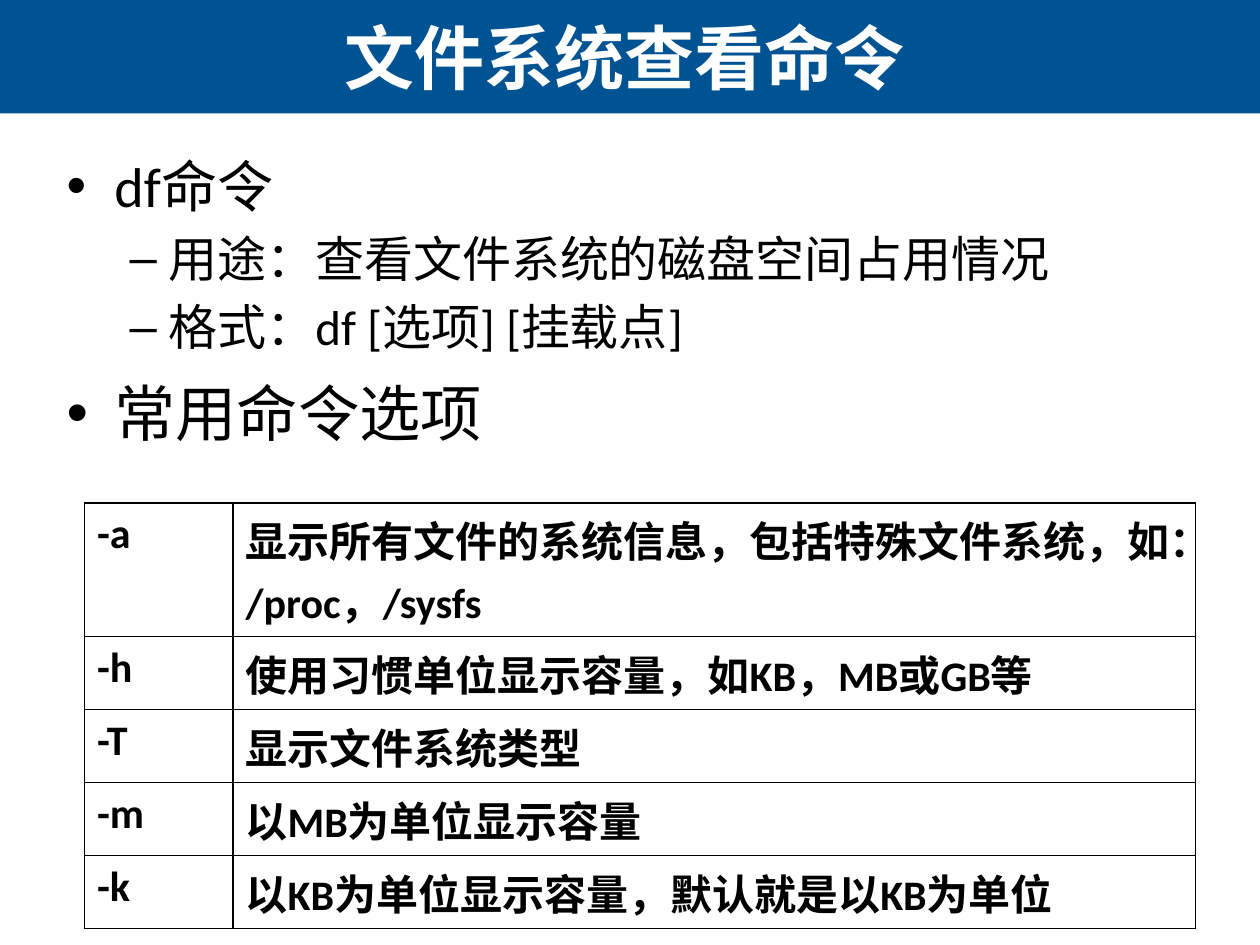
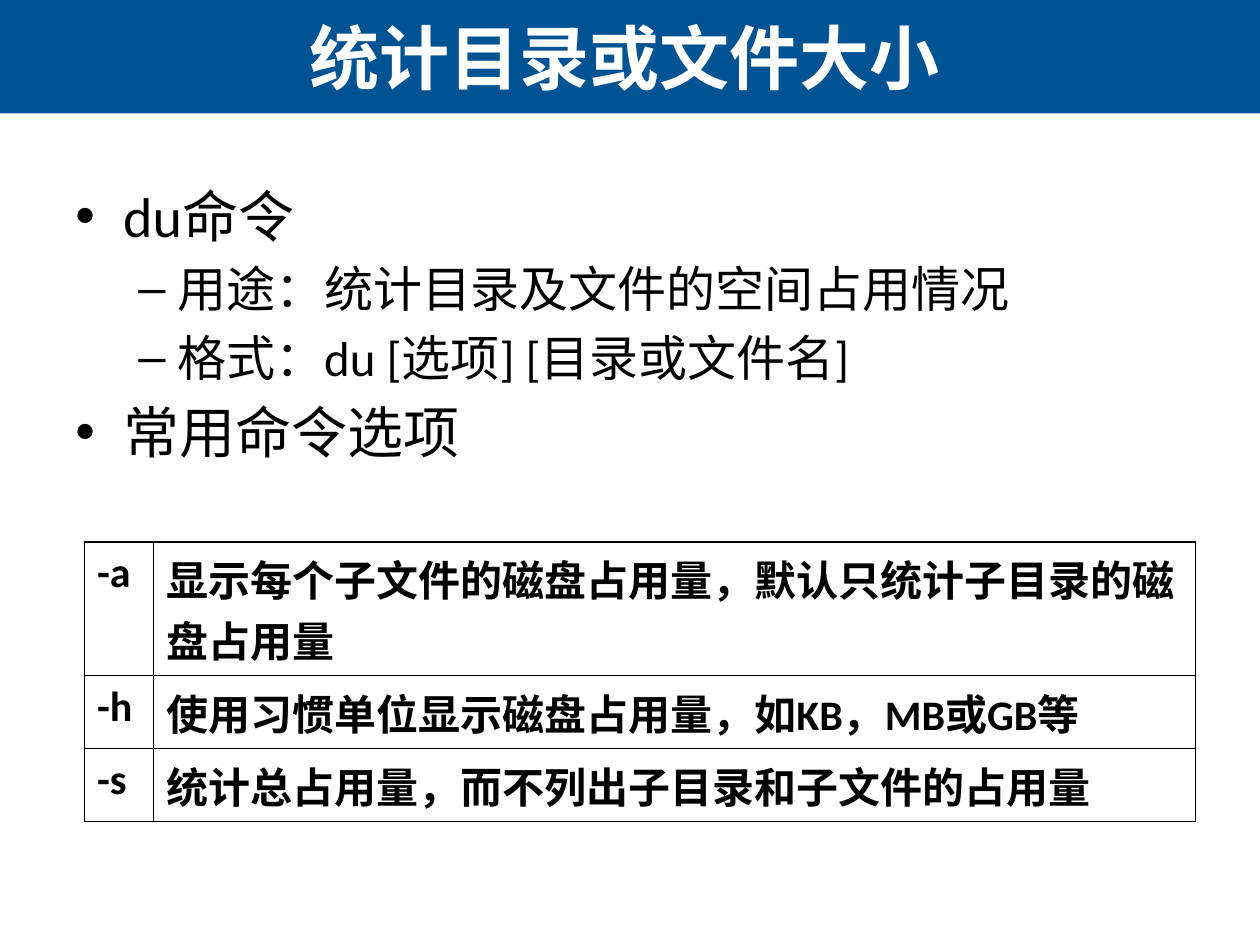
"""Builds two slides about the df and du commands."""
from dataclasses import dataclass

import lxml.etree
import pptx
import pptx.dml.color
import pptx.enum.shapes
import pptx.enum.text
import pptx.oxml.ns
import pptx.util

Inches = pptx.util.Inches
Pt = pptx.util.Pt
qn = pptx.oxml.ns.qn

BAND, WHITE, BLACK = "005392", "FFFFFF", "000000"
TITLE_FONT, BODY_FONT = "Arial", "Calibri"
BAND_HEIGHT = 0.9
TABLE_LEFT, TABLE_WIDTH = 0.67, 8.82
TWO_LINE_ROW, ONE_LINE_ROW = 1.06, 0.58


@dataclass
class Level:
    """Bullet style of one outline level."""
    bullet: str
    indent: float
    hanging: float


LEVELS = [Level("•", 0.38, 0.38), Level("–", 0.81, 0.31)]


@dataclass
class Bullet:
    """One line of the outline."""
    text: str
    level: int = 0
    size: int = 32
    line_spacing: float = 1.0


@dataclass
class CommandSlide:
    """Content and placing of one command slide."""
    title: str
    body_box: tuple[float, float, float, float]
    bullets: list[Bullet]
    table_top: float
    option_width: float
    options: list[tuple[str, str]]


def rgb(color: str) -> pptx.dml.color.RGBColor:
    """Turn a hex string into a colour."""
    return pptx.dml.color.RGBColor.from_string(color)


def format_runs(p, font: str, size: float, color: str, bold: bool = False) -> None:
    """Format every run of a paragraph."""
    for r in p.runs:
        r.font.name, r.font.size, r.font.bold = font, Pt(size), bold
        r.font.color.rgb = rgb(color)


def add_text_frame(slide, box: tuple[float, float, float, float]):
    """Add a wrapping text box and return its text frame."""
    tf = slide.shapes.add_textbox(*map(Inches, box)).text_frame
    tf.word_wrap = True
    return tf


def add_title(slide, title: str) -> None:
    """Draw the top band and the title on it."""
    sp = slide.shapes.add_shape(pptx.enum.shapes.MSO_SHAPE.RECTANGLE,
                                0, 0, Inches(10), Inches(BAND_HEIGHT))
    sp.shadow.inherit = False
    sp.fill.solid()
    sp.fill.fore_color.rgb = rgb(BAND)
    sp.line.fill.background()
    tf = add_text_frame(slide, (0.02, 0, 9.87, BAND_HEIGHT))
    tf.vertical_anchor = pptx.enum.text.MSO_ANCHOR.MIDDLE
    tf.text = title
    p = tf.paragraphs[0]
    p.alignment = pptx.enum.text.PP_ALIGN.CENTER
    format_runs(p, TITLE_FONT, 40, WHITE, bold=True)


def add_bullets(slide, box: tuple[float, float, float, float],
                bullets: list[Bullet]) -> None:
    """Write the bulleted outline."""
    tf = add_text_frame(slide, box)
    tf.text = "\n".join(bullet.text for bullet in bullets)
    for p, bullet in zip(tf.paragraphs, bullets):
        level = LEVELS[bullet.level]
        p.level = bullet.level
        p.space_before = Pt(0.2 * bullet.size)
        p.line_spacing = bullet.line_spacing
        pPr = p._p.get_or_add_pPr()
        pPr.set("marL", str(Inches(level.indent)))
        pPr.set("indent", str(-Inches(level.hanging)))
        lxml.etree.SubElement(pPr, qn("a:buFont"), typeface="Arial")
        lxml.etree.SubElement(pPr, qn("a:buChar"), char=level.bullet)
        format_runs(p, BODY_FONT, bullet.size, BLACK)


def set_borders(cell) -> None:
    """Give a cell a thin black line on every side."""
    tcPr = cell._tc.get_or_add_tcPr()
    for i, side in enumerate(("a:lnL", "a:lnR", "a:lnT", "a:lnB")):
        ln = lxml.etree.Element(qn(side), w=str(Pt(1)))
        fill = lxml.etree.SubElement(ln, qn("a:solidFill"))
        lxml.etree.SubElement(fill, qn("a:srgbClr"), val=BLACK)
        tcPr.insert(i, ln)


def add_options(slide, content: CommandSlide) -> None:
    """Draw the option table, whose first row holds two lines."""
    count = len(content.options)
    heights = [TWO_LINE_ROW] + [ONE_LINE_ROW] * (count - 1)
    table = slide.shapes.add_table(
        count, 2, Inches(TABLE_LEFT), Inches(content.table_top),
        Inches(TABLE_WIDTH), Inches(sum(heights))).table
    table.first_row = table.horz_banding = False
    table.columns[0].width = Inches(content.option_width)
    table.columns[1].width = Inches(TABLE_WIDTH - content.option_width)
    for row, height, texts in zip(table.rows, heights, content.options):
        row.height = Inches(height)
        for cell, text in zip(row.cells, texts):
            cell.fill.background()
            set_borders(cell)
            cell.text_frame.text = text
            format_runs(cell.text_frame.paragraphs[0], BODY_FONT, 24, BLACK, bold=True)


def add_command_slide(prs, content: CommandSlide) -> None:
    """Add one complete command slide."""
    slide = prs.slides.add_slide(prs.slide_layouts[6])
    add_title(slide, content.title)
    add_bullets(slide, content.body_box, content.bullets)
    add_options(slide, content)


SLIDES = [
    CommandSlide(
        title="文件系统查看命令",
        body_box=(0.43, 1.15, 9.78, 4.95),
        bullets=[
            Bullet("df命令"),
            Bullet("用途：查看文件系统的磁盘空间占用情况", 1, 28),
            Bullet("格式：df [选项] [挂载点]", 1, 28),
            Bullet("常用命令选项", size=35, line_spacing=1.1),
        ],
        table_top=3.99,
        option_width=1.18,
        options=[
            ("-a", "显示所有文件的系统信息，包括特殊文件系统，如：/proc，/sysfs"),
            ("-h", "使用习惯单位显示容量，如KB，MB或GB等"),
            ("-T", "显示文件系统类型"),
            ("-m", "以MB为单位显示容量"),
            ("-k", "以KB为单位显示容量，默认就是以KB为单位"),
        ],
    ),
    CommandSlide(
        title="统计目录或文件大小",
        body_box=(0.5, 1.39, 9, 4.95),
        bullets=[
            Bullet("du命令"),
            Bullet("用途：统计目录及文件的空间占用情况", 1, 28),
            Bullet("格式：du [选项] [目录或文件名]", 1, 28),
            Bullet("常用命令选项"),
        ],
        table_top=4.3,
        option_width=0.55,
        options=[
            ("-a", "显示每个子文件的磁盘占用量，默认只统计子目录的磁盘占用量"),
            ("-h", "使用习惯单位显示磁盘占用量，如KB，MB或GB等"),
            ("-s", "统计总占用量，而不列出子目录和子文件的占用量"),
        ],
    ),
]


def main() -> None:
    """Build and save the presentation."""
    prs = pptx.Presentation()
    prs.slide_width, prs.slide_height = Inches(10), Inches(7.5)
    for content in SLIDES:
        add_command_slide(prs, content)
    prs.save("out.pptx")


main()
